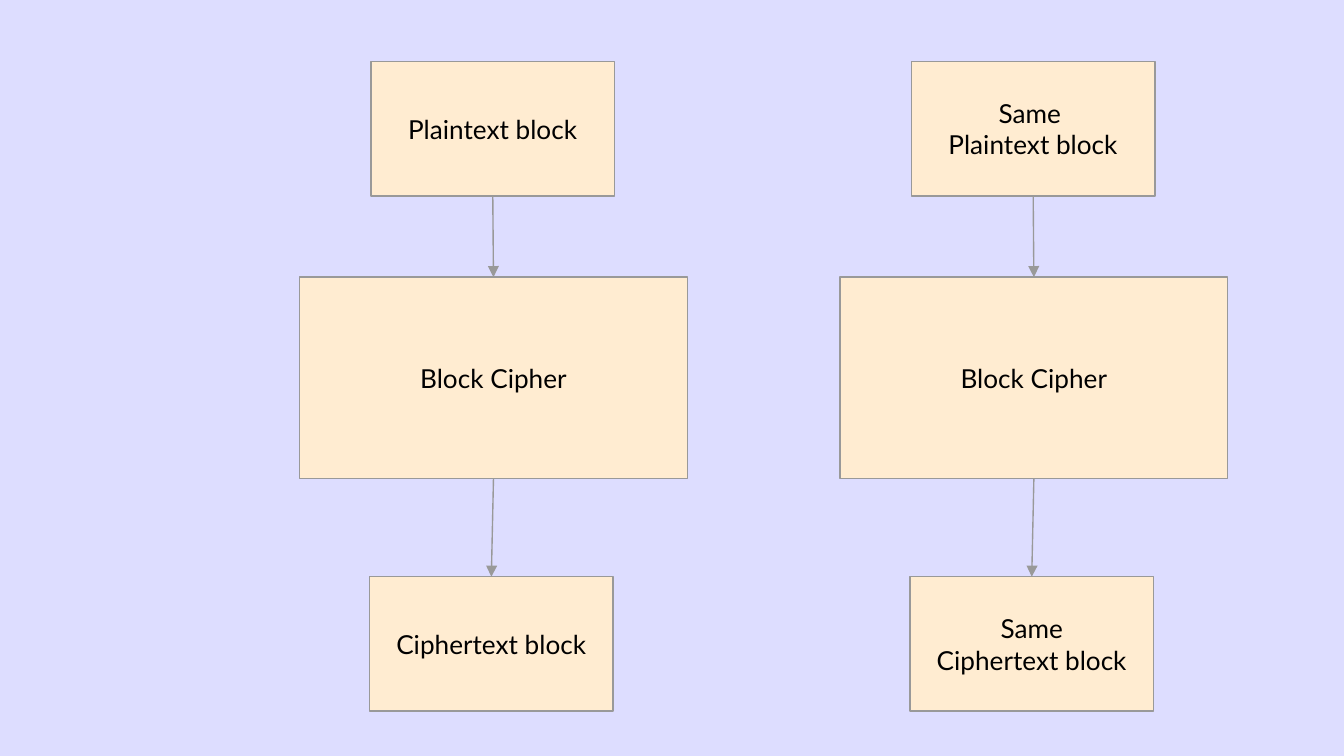
from lxml import etree
from pptx import Presentation
from pptx import util as u
from pptx.dml import color
from pptx.enum import shapes, text
from pptx.oxml import ns

PX = 9525
COLORS = {"background": "DDDDFF", "block": "FFECD1", "line": "999999", "text": "000000"}
FONT = {"name": "Lato", "size": u.Pt(14)}
FRAME = {
    "word_wrap": True,
    "vertical_anchor": text.MSO_ANCHOR.MIDDLE,
    **{f"margin_{side}": u.Inches(0.1) for side in ("left", "top", "right", "bottom")},
}

COLUMN_TOP = 44
COLUMN_STEP = 386
FIRST_COLUMN_LEFT = 214
BLOCK_BOXES = [(51, 0, 174, 96), (0, 154, 277, 144), (50, 368, 174, 96)]
COLUMNS = [
    (["Plaintext block"], ["Block Cipher"], ["Ciphertext block"]),
    (["Same ", "Plaintext block"], ["Block Cipher"], ["Same", "Ciphertext block"]),
]


def px(length):
    return u.Emu(length * PX)


def rgb(name):
    return color.RGBColor.from_string(COLORS[name])


def apply_format(target, values):
    for attribute, value in values.items():
        setattr(target, attribute, value)


def style_line(line):
    line.color.rgb = rgb("line")
    line.width = u.Pt(0.75)


def add_block(slide, box, lines):
    block = slide.shapes.add_shape(shapes.MSO_SHAPE.RECTANGLE, *map(px, box))
    block.shadow.inherit = False
    block.fill.solid()
    block.fill.fore_color.rgb = rgb("block")
    style_line(block.line)
    frame = block.text_frame
    apply_format(frame, FRAME)
    frame.text = "\n".join(lines)
    for paragraph in frame.paragraphs:
        paragraph.alignment = text.PP_ALIGN.CENTER
        font = paragraph.runs[0].font
        apply_format(font, FONT)
        font.color.rgb = rgb("text")
    return block


def add_arrow(slide, upper, lower):
    arrow = slide.shapes.add_connector(shapes.MSO_CONNECTOR.STRAIGHT, 0, 0, 0, 0)
    arrow.begin_connect(upper, 2)
    arrow.end_connect(lower, 0)
    style_line(arrow.line)
    properties = arrow.line._get_or_add_ln()
    etree.SubElement(properties, ns.qn("a:tailEnd"), type="triangle")
    etree.SubElement(arrow._element.spPr, ns.qn("a:effectLst"))


def add_cipher_column(slide, left, top, labels):
    blocks = [
        add_block(slide, (left + x, top + y, width, height), lines)
        for (x, y, width, height), lines in zip(BLOCK_BOXES, labels)
    ]
    for upper, lower in zip(blocks, blocks[1:]):
        add_arrow(slide, upper, lower)


def main():
    presentation = Presentation()
    presentation.slide_width, presentation.slide_height = px(960), px(540)
    slide = presentation.slides.add_slide(presentation.slide_layouts[6])
    slide.background.fill.solid()
    slide.background.fill.fore_color.rgb = rgb("background")
    for index, labels in enumerate(COLUMNS):
        add_cipher_column(slide, FIRST_COLUMN_LEFT + index * COLUMN_STEP, COLUMN_TOP, labels)
    presentation.save("out.pptx")


if __name__ == "__main__":
    main()
